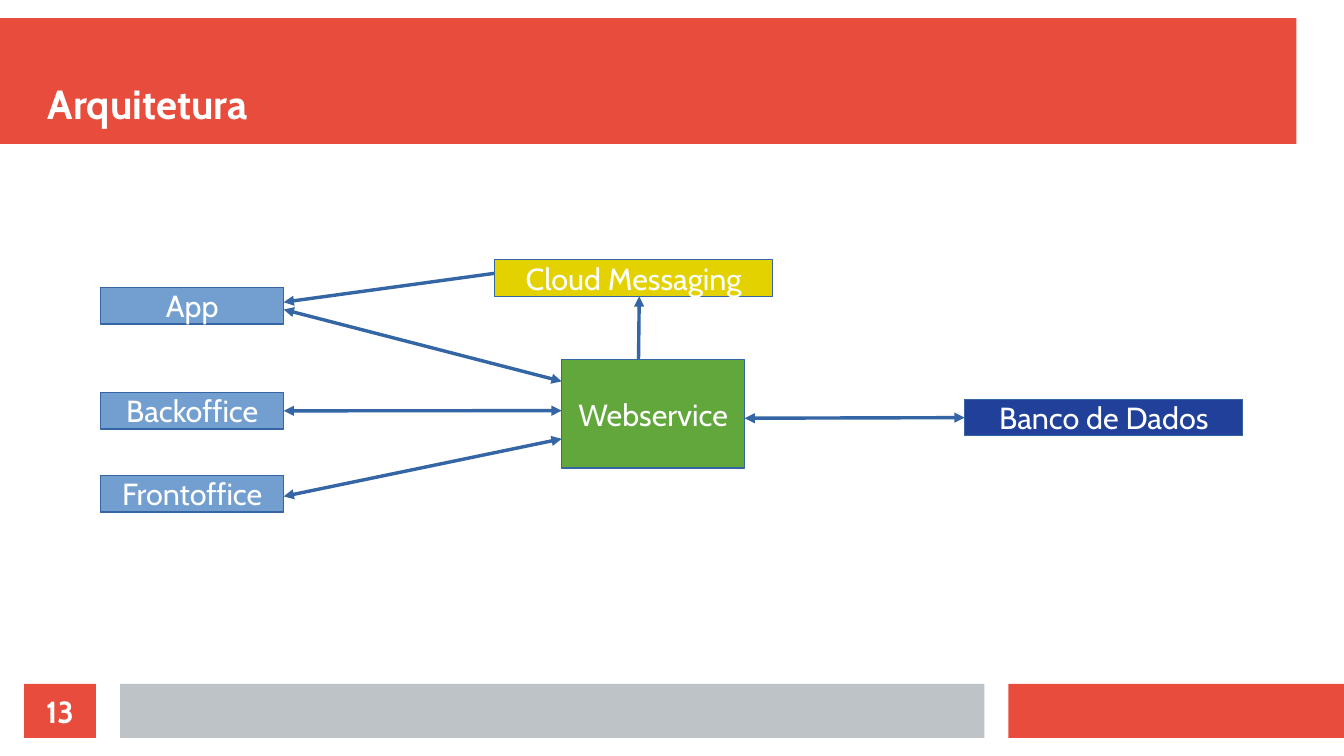
from pptx import Presentation
from pptx.dml.color import RGBColor
from pptx.enum.shapes import MSO_CONNECTOR, MSO_SHAPE
from pptx.enum.text import MSO_ANCHOR, MSO_AUTO_SIZE, PP_ALIGN
from pptx.oxml.ns import qn
from pptx.util import Pt
from lxml.etree import SubElement

FONT, RED, GREY, BLUE, EDGE = "Cabin", "E74C3C", "BDC3C7", "729FCF", "3465A4"
BANDS = [
    (0, 10.8, 765.4, 74.2, RED),
    (595.3, 403.9, 198.14, 31.8, RED),
    (70.9, 403.9, 510.2, 31.8, GREY),
]
PAGE = (14.2, 403.9, 42.5, 31.8, RED)
TITLE = (28.3, 21.6, 737.1, 53.5)
THIN, SIDE, WIDE = 21.6, 108, 164.2
NODES = {
    "App": (59.5, 169.8, SIDE, THIN, BLUE),
    "Backoffice": (59.5, 231.8, SIDE, THIN, BLUE),
    "Frontoffice": (59.5, 280.8, SIDE, THIN, BLUE),
    "Webservice": (331.6, 212.4, SIDE, 64, "62A73B"),
    "Banco de Dados": (569.5, 235.8, WIDE, THIN, "21409A"),
    "Cloud Messaging": (292, 153.4, WIDE, THIN, "E3D200"),
}
LINKS = [
    ("App", 1, 0.6, "Webservice", 0, 0.2, True),
    ("Backoffice", 1, 0.5, "Webservice", 0, 0.47, True),
    ("Frontoffice", 1, 0.57, "Webservice", 0, 0.73, True),
    ("App", 1, 0.4, "Cloud Messaging", 0, 0.37, False),
    ("Webservice", 1, 0.54, "Banco de Dados", 0, 0.5, True),
    ("Cloud Messaging", 0.52, 1, "Webservice", 0.42, 0, False),
]


def color(code):
    """Turn a hex string into a colour."""
    return RGBColor.from_string(code)


def write(shape, text, size, bold, align, anchor, wrap, pads=(0, 0)):
    """Put one formatted line of white text in a shape."""
    frame = shape.text_frame
    frame.text = text
    frame.word_wrap, frame.vertical_anchor = wrap, anchor
    frame.auto_size = MSO_AUTO_SIZE.NONE
    frame.margin_left = frame.margin_right = Pt(pads[0])
    frame.margin_top = frame.margin_bottom = Pt(pads[1])
    line = frame.paragraphs[0]
    line.alignment = align
    font = line.runs[0].font
    font.name, font.size, font.bold = FONT, Pt(size), bold
    font.color.rgb = color("FFFFFF")


def block(left, top, width, height, fill, edge=None):
    """Draw a flat rectangle, outlined if an edge colour is given."""
    shape = slide.shapes.add_shape(
        MSO_SHAPE.RECTANGLE, Pt(left), Pt(top), Pt(width), Pt(height))
    shape.shadow.inherit = False
    shape.fill.solid()
    shape.fill.fore_color.rgb = color(fill)
    if edge:
        shape.line.color.rgb = color(edge)
        shape.line.width = Pt(0)
    else:
        shape.line.fill.background()
    return shape


def spot(name, across, down):
    """Find a point at given fractions of a node's box."""
    left, top, width, height, _ = NODES[name]
    return Pt(left + across * width), Pt(top + down * height)


def link(start, end, both):
    """Draw an arrow with its head at start, or at both ends."""
    wire = slide.shapes.add_connector(MSO_CONNECTOR.STRAIGHT, *start, *end)
    wire.line.color.rgb = color(EDGE)
    wire.line.width = Pt(0)
    props = wire.element.spPr
    stroke = props.find(qn("a:ln"))
    for tag in ("a:headEnd", "a:tailEnd")[:2 if both else 1]:
        SubElement(stroke, qn(tag), type="triangle", w="med", len="med")
    SubElement(props, qn("a:effectLst"))


deck = Presentation()
deck.slide_width, deck.slide_height = Pt(793.44), Pt(446.4)
slide = deck.slides.add_slide(deck.slide_layouts[5])

for band in BANDS:
    block(*band)

title = slide.shapes.title
title.element.getparent().append(title.element)
title.left, title.top, title.width, title.height = map(Pt, TITLE)
write(title, "Arquitetura", 24, True, PP_ALIGN.LEFT, MSO_ANCHOR.BOTTOM, True)

for name, spec in NODES.items():
    write(block(*spec, EDGE), name, 18, False, PP_ALIGN.CENTER,
          MSO_ANCHOR.MIDDLE, False, (7.2, 3.6))

for one, x1, y1, two, x2, y2, both in LINKS:
    link(spot(one, x1, y1), spot(two, x2, y2), both)

write(block(*PAGE), "13", 18, True, PP_ALIGN.CENTER, MSO_ANCHOR.MIDDLE, True)

deck.save("out.pptx")
